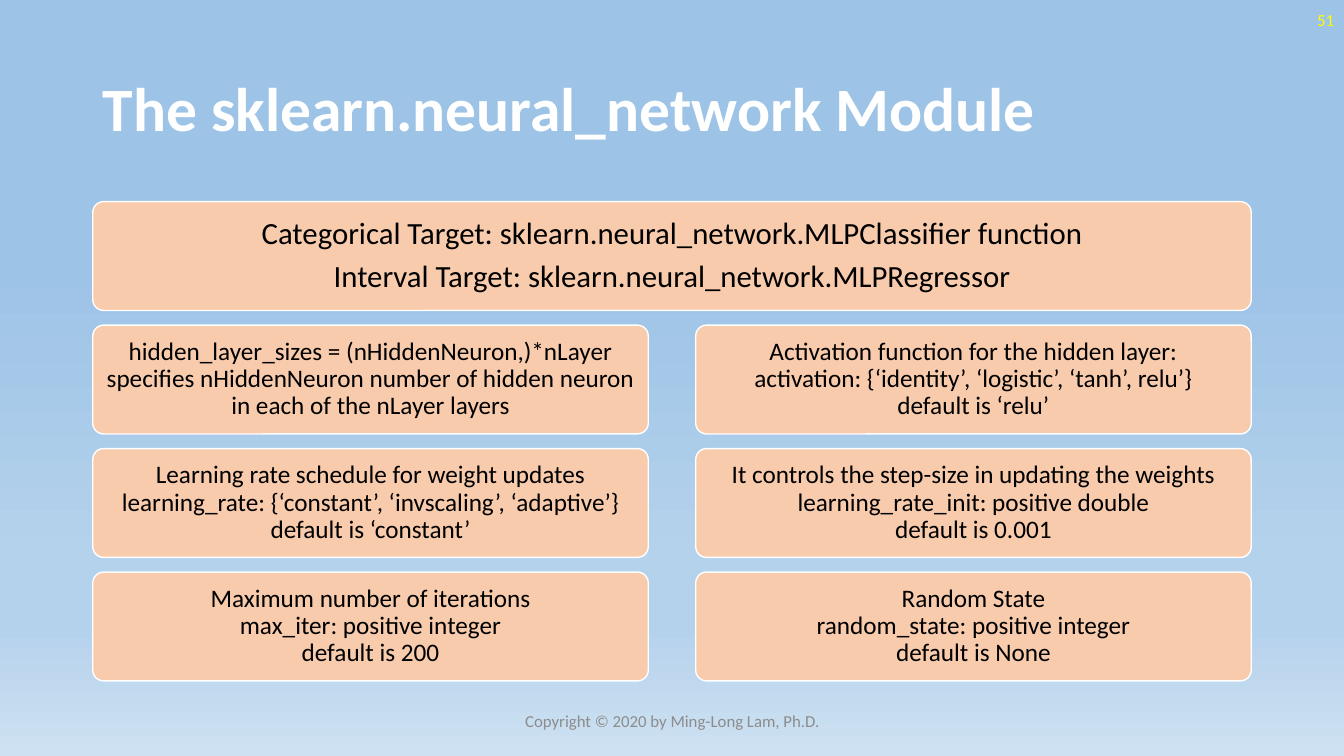
from lxml import etree
from pptx import Presentation
from pptx.dml.color import RGBColor
from pptx.enum.shapes import MSO_SHAPE
from pptx.enum.text import MSO_ANCHOR, PP_ALIGN
from pptx.oxml.ns import qn
from pptx.util import Inches, Pt

ROUND = MSO_SHAPE.ROUNDED_RECTANGLE
MIDDLE = MSO_ANCHOR.MIDDLE
LEFT, CENTER, RIGHT = PP_ALIGN.LEFT, PP_ALIGN.CENTER, PP_ALIGN.RIGHT

STOPS = [(35, "9DC3E6"), (74, "B5D2EC"), (83, "B5D2EC"), (100, "CEE1F2")]
EDGE, TOP = 0.92, 2
WIDE, HALF, HIGH = 11.49, 5.51, 1.08
COL_STEP, ROW_STEP = 5.98, 1.225

TARGETS = (
    "Categorical Target: sklearn.neural_network.MLPClassifier function\n"
    "Interval Target: sklearn.neural_network.MLPRegressor"
)
OPTIONS = [
    [
        "hidden_layer_sizes = (nHiddenNeuron,)*nLayer specifies "
        "nHiddenNeuron number of hidden neuron in each of the nLayer layers",
        "Activation function for the hidden layer:\v"
        "activation: {‘identity’, ‘logistic’, ‘tanh’, relu’}\v"
        "default is ‘relu’",
    ],
    [
        "Learning rate schedule for weight updates "
        "learning_rate: {‘constant’, ‘invscaling’, ‘adaptive’}\v"
        "default is ‘constant’",
        "It controls the step-size in updating the weights\v"
        "learning_rate_init: positive double\vdefault is 0.001",
    ],
    [
        "Maximum number of iterations\vmax_iter: positive integer\v"
        "default is 200",
        "Random State\vrandom_state: positive integer\vdefault is None",
    ],
]


def rgb(code):
    """Turn a hex string into a colour."""
    return RGBColor.from_string(code)


def paint_back(slide):
    """Fill the background with the vertical blue gradient."""
    fill = slide.background.fill
    fill.gradient()
    fill.gradient_angle = 270
    stops = slide.element.find(".//" + qn("a:gsLst"))
    for old in list(stops):
        stops.remove(old)
    for place, code in STOPS:
        stop = etree.SubElement(stops, qn("a:gs"), pos=str(place * 1000))
        etree.SubElement(stop, qn("a:srgbClr"), val=code)


def set_text(shape, text, size, color, align, bold=False, line=1.0):
    """Write the text of a shape and format its runs."""
    frame = shape.text_frame
    frame.word_wrap = True
    frame.vertical_anchor = MIDDLE
    frame.text = text
    for para in frame.paragraphs:
        para.alignment = align
        para.line_spacing = line
        for run in para.runs:
            run.font.name = "Calibri"
            run.font.size = Pt(size)
            run.font.bold = bold
            run.font.color.rgb = rgb(color)
    for para in frame.paragraphs[:-1]:
        para.space_after = Pt(7.5)


def add_label(slide, area, text, size, color, align, **style):
    """Add a plain text box."""
    box = slide.shapes.add_textbox(*map(Inches, area))
    set_text(box, text, size, color, align, **style)


def add_card(slide, left, top, width, text, size, inset):
    """Add a rounded card with centred text."""
    area = map(Inches, (left, top, width, HIGH))
    card = slide.shapes.add_shape(ROUND, *area)
    card.adjustments[0] = 0.1
    card.shadow.inherit = False
    card.fill.solid()
    card.fill.fore_color.rgb = rgb("F8CBAD")
    card.line.color.rgb = rgb("FFFFFF")
    card.line.width = Pt(1)
    frame = card.text_frame
    frame.margin_left = frame.margin_right = Inches(inset)
    frame.margin_top = frame.margin_bottom = Inches(inset)
    set_text(card, text, size, "000000", CENTER, line=0.9)


def main():
    """Build the slide and save it."""
    deck = Presentation()
    deck.slide_width, deck.slide_height = Inches(13.33), Inches(7.5)
    slide = deck.slides.add_slide(deck.slide_layouts[6])
    paint_back(slide)
    add_label(slide, (EDGE, 0.45, 11.5, 1.32),
              "The sklearn.neural_network Module", 44, "FFFFFF", LEFT,
              bold=True, line=0.9)
    add_label(slide, (10.33, 0, 3, 0.4), "51", 12, "FFFF00", RIGHT)
    add_card(slide, EDGE, TOP, WIDE, TARGETS, 22, 0.09)
    for row, pair in enumerate(OPTIONS, 1):
        for col, text in enumerate(pair):
            add_card(slide, EDGE + col * COL_STEP, TOP + row * ROW_STEP,
                     HALF, text, 18, 0.07)
    add_label(slide, (4.42, 6.95, 4.5, 0.4),
              "Copyright © 2020 by Ming-Long Lam, Ph.D.", 12, "8C8C8C", CENTER)
    deck.save("out.pptx")


if __name__ == "__main__":
    main()
